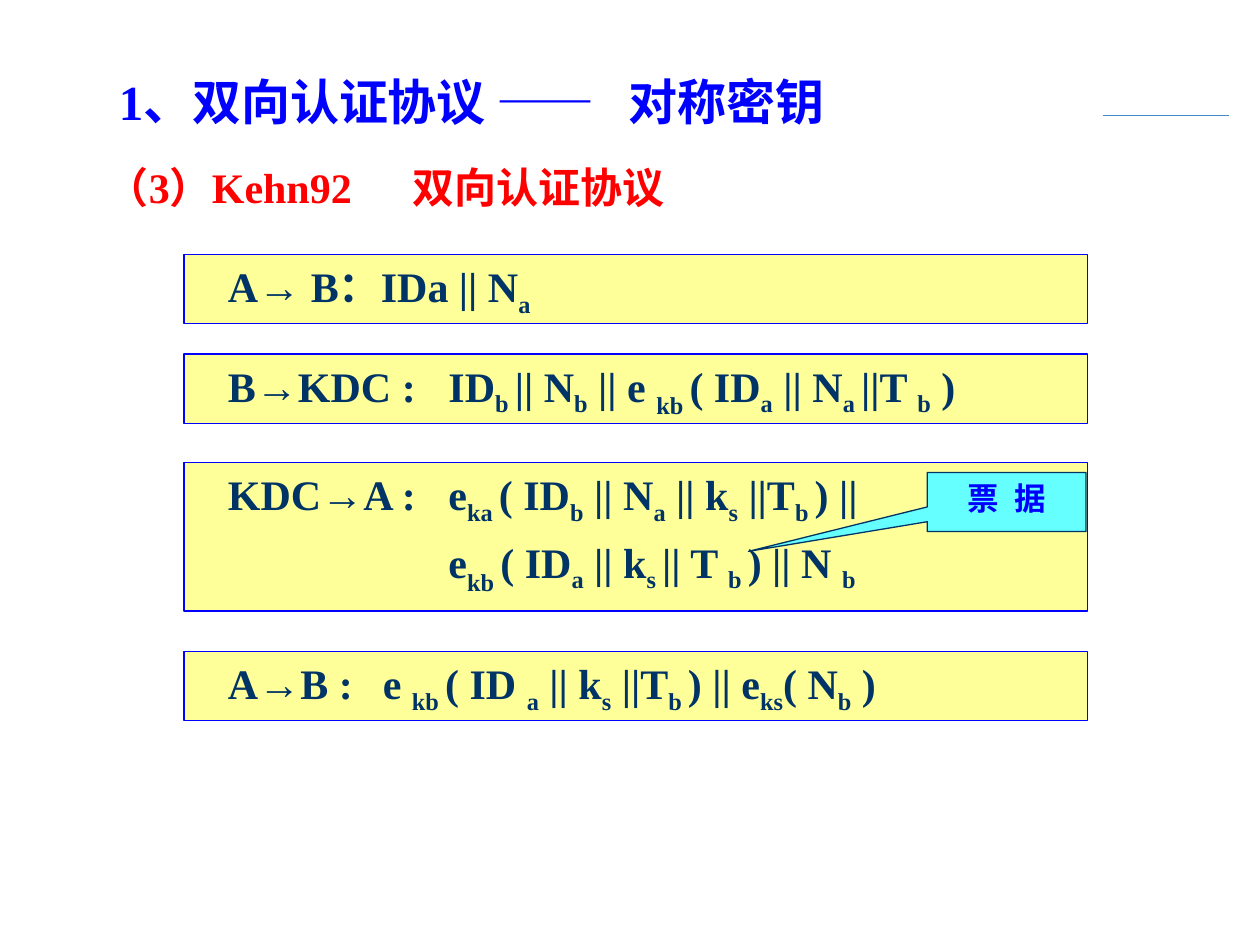
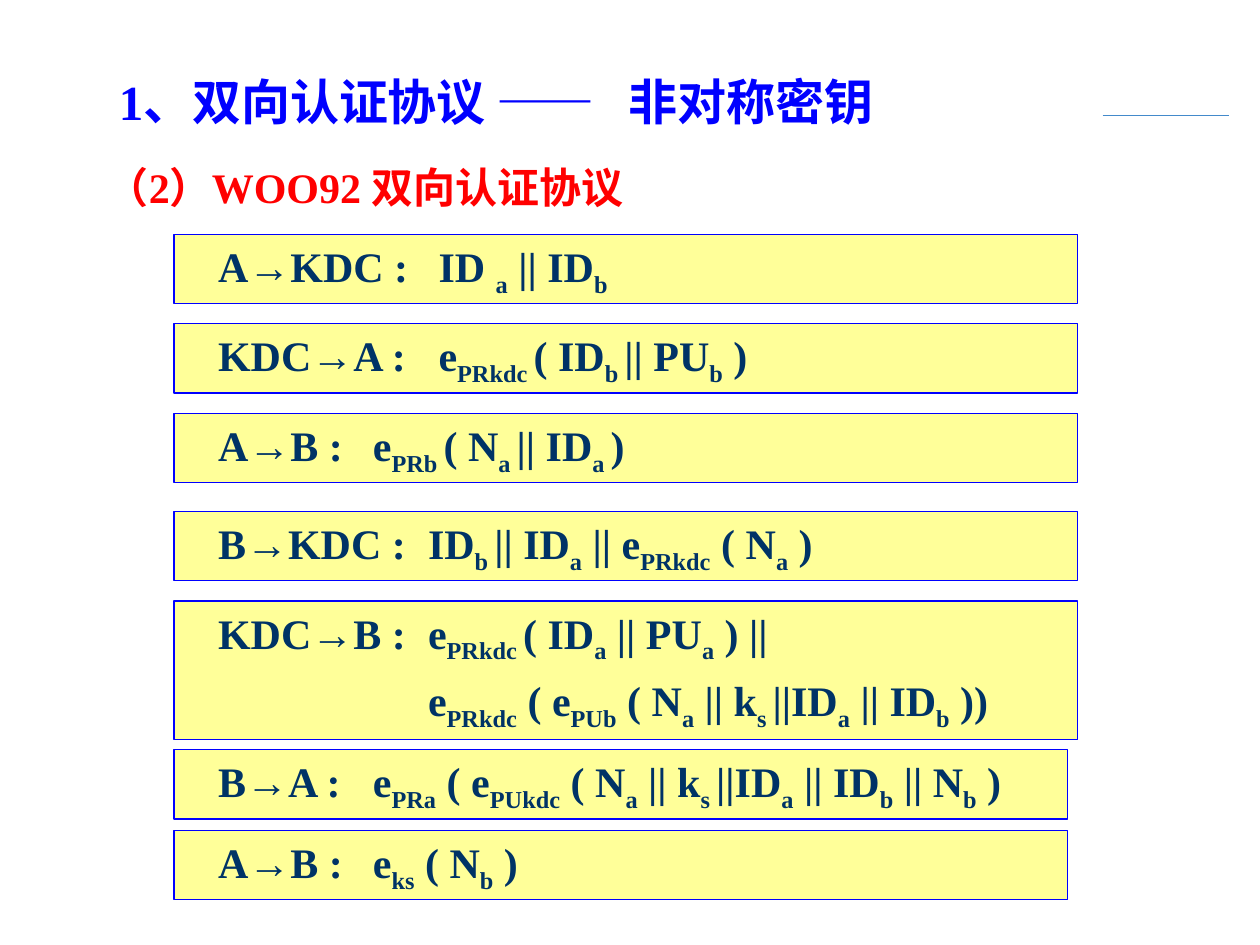
"""Build two slides on mutual authentication protocols."""
from dataclasses import dataclass

import pptx
import pptx.dml.color
import pptx.enum.shapes
import pptx.enum.text
import pptx.oxml.ns
import pptx.util
from lxml import etree

Pt = pptx.util.Pt
Kind = pptx.enum.shapes.MSO_SHAPE
FACE = "Times New Roman"
HUES = {"title": "0000FF", "head": "FF0000", "ink": "003366",
        "row": "FFFF99", "note": "66FFFF", "rule": "438ACB"}
PAD = 7.2
STEP = 18
HIGH = 39.6


@dataclass(frozen=True)
class Style:
    size: float
    hue: str
    bold: bool = True
    left: float = PAD


@dataclass(frozen=True)
class Row:
    top: float
    lines: tuple[str, ...]
    col: float = 0
    wide: float = 516.2
    high: float = HIGH


@dataclass(frozen=True)
class Note:
    text: str
    box: tuple[float, float, float, float]
    tip: tuple[float, float]


@dataclass(frozen=True)
class Page:
    title: str
    head: str
    left: float
    rows: tuple[Row, ...]
    note: Note | None = None


TITLE = Style(28, "title", left=PAD + 24)
HEAD = Style(24, "head")
BODY = Style(24, "ink", left=PAD + STEP)
TAG = Style(18, "title", left=PAD + 16)

PAGES = (
    Page("1、双向认证协议 ——\t对称密钥", "（3）Kehn92\t双向认证协议", 105.1, (
        Row(145.4, ("A→ B：IDa || N[a]",)),
        Row(202.3, ("B→KDC :\tID[b ]|| N[b] || e [~kb ]( ID[a] || N[a ]||T [b] )",), 144),
        Row(264.2, ("KDC→A :\te[ka ]( ID[b] || N[a] || k[s] ||T[b ]) ||",
                    "e[~kb ]( ID[a] || k[s ]|| T [b ]) || N [b]"), 144, high=85),
        Row(372.2, ("A→B :\te [kb ]( ID [a] || k[s] ||T[b ]) || e[ks]( N[b] )",), 106.5),
    ), Note("票\t据", (529.9, 270, 90.7, 33.8), (-1.627, 0.835))),
    Page("1、双向认证协议 ——\t非对称密钥", "（2）WOO92 双向认证协议", 99.4, (
        Row(133.9, ("A→KDC :\tID [a] || ID[b]",), 144),
        Row(185, ("KDC→A :\te[PRkdc ]( ID[b ]|| PU[b] )",), 144),
        Row(236.2, ("A→B :\te[PRb ]( N[a ]|| ID[a ])",), 106.5),
        Row(292.3, ("B→KDC :\tID[b ]|| ID[a] || e[PRkdc] ( N[a] )",), 138),
        Row(343.4, ("KDC→B :\te[PRkdc ]( ID[a] || PU[a] ) ||",
                    "e[PRkdc] ( e[PUb] ( N[a] || k[s ]||ID[a] || ID[b] ))"), 138, high=79.2),
        Row(428.4, ("B→A :\te[PRa] ( e[PUkdc] ( N[a] || k[s ]||ID[a] || ID[b] || N[b] )",),
            106.5, 510.5),
        Row(474.5, ("A→B :\te[ks] ( N[b] )",), 106.5, 510.5),
    )),
)


def tint(key: str) -> pptx.dml.color.RGBColor:
    return pptx.dml.color.RGBColor.from_string(HUES[key])


def put_runs(para, text: str) -> None:
    for i, part in enumerate(text.replace("]", "[").split("[")):
        if not part:
            continue
        run = para.add_run()
        run.text = part.lstrip("~")
        if i % 2:
            drop = "-30000" if part.startswith("~") else "-25000"
            run._r.get_or_add_rPr().set("baseline", drop)


def write(shape, lines: tuple[str, ...], style: Style, stop: float = 0) -> None:
    frame = shape.text_frame
    frame.word_wrap = True
    frame.vertical_anchor = pptx.enum.text.MSO_ANCHOR.TOP
    frame.margin_left, frame.margin_right = Pt(style.left), Pt(PAD)
    frame.margin_top = frame.margin_bottom = Pt(3.6)
    for i, line in enumerate(lines):
        para = frame.paragraphs[0] if i == 0 else frame.add_paragraph()
        para.alignment = pptx.enum.text.PP_ALIGN.LEFT
        props = para._p.get_or_add_pPr()
        if i:
            para.space_before = Pt(6)
            props.set("marL", str(Pt(stop)))
        elif "\t" in line:
            tabs = etree.SubElement(props, pptx.oxml.ns.qn("a:tabLst"))
            etree.SubElement(tabs, pptx.oxml.ns.qn("a:tab"), pos=str(Pt(stop)), algn="l")
        font = para.font
        font.name, font.size, font.bold = FACE, Pt(style.size), style.bold
        font.color.rgb = tint(style.hue)
        put_runs(para, line)


def add_text(slide, box: tuple[float, ...], text: str, style: Style, stop: float) -> None:
    write(slide.shapes.add_textbox(*map(Pt, box)), (text,), style, stop)


def add_box(slide, kind, box: tuple[float, ...], fill: str, edge: str):
    shape = slide.shapes.add_shape(kind, *map(Pt, box))
    shape.shadow.inherit = False
    shape.fill.solid()
    shape.fill.fore_color.rgb = tint(fill)
    shape.line.color.rgb = tint(edge)
    shape.line.width = Pt(0.75)
    return shape


def add_rule(slide) -> None:
    link = pptx.enum.shapes.MSO_CONNECTOR.STRAIGHT
    rule = slide.shapes.add_connector(link, Pt(630), Pt(66), Pt(702), Pt(66))
    rule.line.color.rgb = tint("rule")
    rule.line.width = Pt(0.75)
    etree.SubElement(rule._element.spPr, pptx.oxml.ns.qn("a:effectLst"))


def add_page(deck, page: Page) -> None:
    slide = deck.slides.add_slide(deck.slide_layouts[6])
    add_rule(slide)
    add_text(slide, (36.7, 37.4, 538, HIGH), page.title, TITLE, 291.5)
    add_text(slide, (54, 88.6, 556, 45.4), page.head, HEAD, 174.5)
    for row in page.rows:
        box = (page.left, row.top, row.wide, row.high)
        shape = add_box(slide, Kind.RECTANGLE, box, "row", "title")
        write(shape, row.lines, BODY, row.col - STEP)
    if page.note:
        note = page.note
        shape = add_box(slide, Kind.RECTANGULAR_CALLOUT, note.box, "note", "ink")
        for i, shift in enumerate(note.tip):
            shape.adjustments[i] = shift
        write(shape, (note.text,), TAG, 26.5)


def main() -> None:
    deck = pptx.Presentation()
    deck.slide_width, deck.slide_height = Pt(720), Pt(540)
    for page in PAGES:
        add_page(deck, page)
    deck.save("out.pptx")


if __name__ == "__main__":
    main()
